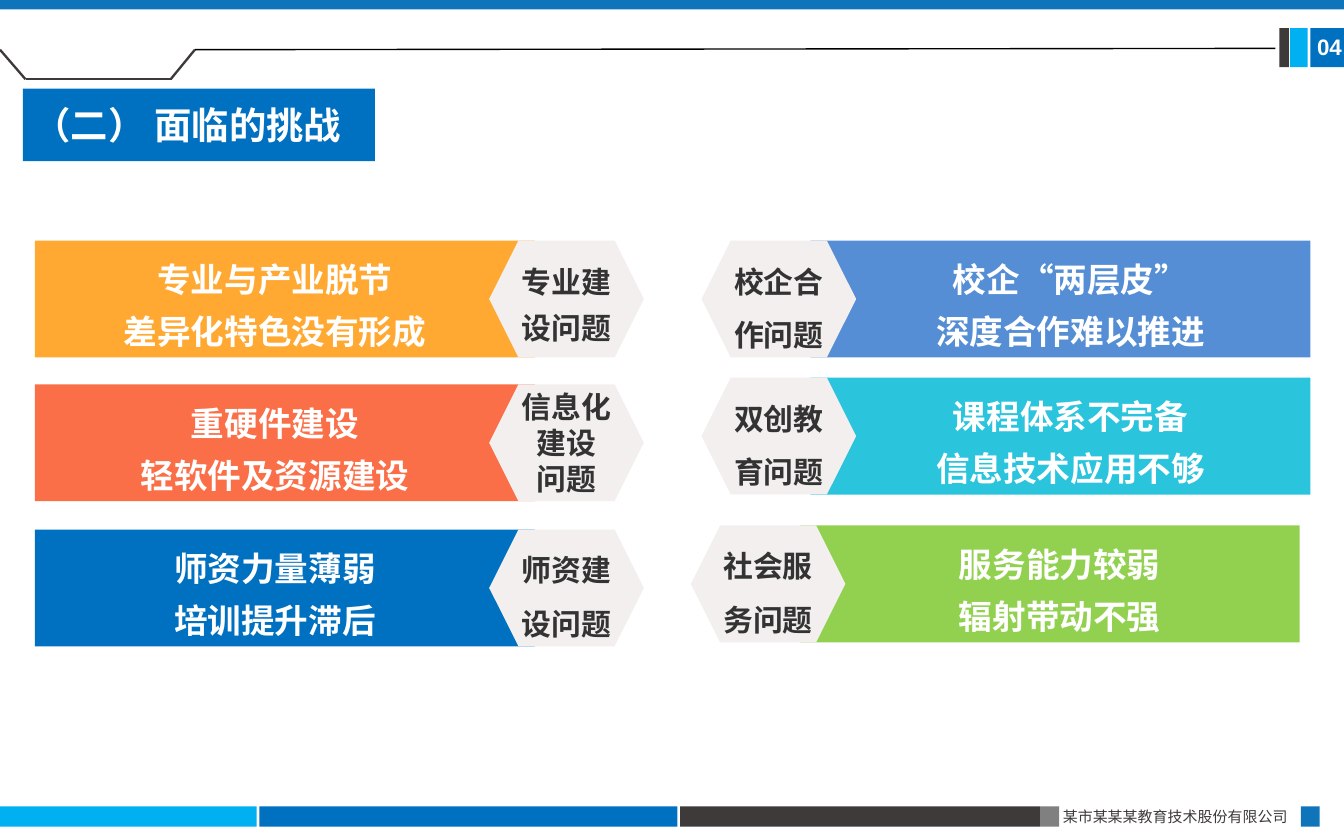
from lxml import etree
from pptx import Presentation
from pptx.dml.color import RGBColor
from pptx.enum.lang import MSO_LANGUAGE_ID as Language
from pptx.enum.shapes import MSO_CONNECTOR as Connector, MSO_SHAPE as Shape
from pptx.enum.text import MSO_ANCHOR as Anchor, MSO_AUTO_SIZE as AutoSize, PP_ALIGN as Align
from pptx.oxml.ns import qn
from pptx.util import Inches, Pt

WHITE = RGBColor(0xFF, 0xFF, 0xFF)
BLACK = RGBColor(0x00, 0x00, 0x00)
CHARCOAL = RGBColor(0x3E, 0x3A, 0x39)
DARK_GRAY = RGBColor(0x33, 0x33, 0x33)
GRAY = RGBColor(0x80, 0x80, 0x80)
PALE = RGBColor(0xF3, 0xEF, 0xEF)
SKY = RGBColor(0x00, 0xB0, 0xF0)
BLUE = RGBColor(0x00, 0x70, 0xC0)
STEEL = RGBColor(0x10, 0x74, 0xBB)
ORANGE = RGBColor(0xFF, 0xA9, 0x32)
CORAL = RGBColor(0xFA, 0x6F, 0x48)
PERIWINKLE = RGBColor(0x55, 0x8E, 0xD5)
TURQUOISE = RGBColor(0x2A, 0xC4, 0xDC)
GREEN = RGBColor(0x92, 0xD0, 0x50)

CJK_FONT = "Noto Sans CJK SC"
BANNER_WIDTH = 3.72
ROW_HEIGHT = 0.87
NOTCH = 0.34
HEXAGON_WIDTH = 1.15


def paint(shape, color):
    shape.fill.solid()
    shape.fill.fore_color.rgb = color
    shape.line.fill.background()


def add_block(page, left, top, width, height, color, kind=Shape.RECTANGLE):
    block = page.shapes.add_shape(kind, Inches(left), Inches(top), Inches(width), Inches(height))
    block.shadow.inherit = False
    paint(block, color)
    return block


def add_rule(page, start, end, color, weight):
    points = [Inches(value) for value in start + end]
    rule = page.shapes.add_connector(Connector.STRAIGHT, *points)
    rule.line.color.rgb = color
    rule.line.width = Pt(weight)
    etree.SubElement(rule._element.spPr, qn("a:effectLst"))


def write(shape, lines, size, color, align=Align.CENTER, spacing=1.0, bold=True,
          font="Calibri", margins=(0, 0, 0, 0), anchor=Anchor.MIDDLE):
    frame = shape.text_frame
    frame.word_wrap = True
    frame.auto_size = AutoSize.NONE
    frame.vertical_anchor = anchor
    (frame.margin_left, frame.margin_top,
     frame.margin_right, frame.margin_bottom) = [Inches(value) for value in margins]
    for index, line in enumerate(lines):
        para = frame.add_paragraph() if index else frame.paragraphs[0]
        para.alignment = align
        para.line_spacing = spacing
        span = para.add_run()
        span.text = line
        span.font.size = Pt(size)
        span.font.bold = bold
        span.font.name = font
        span.font.language_id = Language.SIMPLIFIED_CHINESE
        span.font.color.rgb = color
        east_asian = etree.Element(qn("a:ea"), typeface=CJK_FONT)
        span.font._element.find(qn("a:latin")).addnext(east_asian)


def add_label(page, left, top, width, height, text, size, color, **style):
    box = page.shapes.add_textbox(Inches(left), Inches(top), Inches(width), Inches(height))
    write(box, [text], size, color, anchor=Anchor.TOP, **style)


def add_banner(page, outer, top, direction, color, lines):
    inner = outer + direction * BANNER_WIDTH
    outline = [(inner, top), (inner - direction * NOTCH, top + ROW_HEIGHT / 2),
               (inner, top + ROW_HEIGHT), (outer, top + ROW_HEIGHT)]
    builder = page.shapes.build_freeform(Inches(outer), Inches(top))
    builder.add_line_segments([(Inches(x), Inches(y)) for x, y in outline], close=True)
    banner = builder.convert_to_shape()
    banner.shadow.inherit = False
    paint(banner, color)
    margins = (0.16, 0.05, 0.31, 0.05) if direction > 0 else (0.31, 0.05, 0.16, 0.05)
    write(banner, lines, 18, WHITE, spacing=1.3, margins=margins)


def add_challenge(page, outer, top, direction, color, lines, topic, spacing):
    add_banner(page, outer, top, direction, color, lines)
    tip = outer + direction * (BANNER_WIDTH - NOTCH)
    left = tip if direction > 0 else tip - HEXAGON_WIDTH
    hexagon = add_block(page, left, top, HEXAGON_WIDTH, ROW_HEIGHT, PALE, Shape.HEXAGON)
    write(hexagon, topic, 16, DARK_GRAY, spacing=spacing)


def add_title(page):
    title = page.shapes.title
    title.left, title.top = Inches(0.17), Inches(0.66)
    title.width, title.height = Inches(2.62), Inches(0.54)
    paint(title, BLUE)
    write(title, ["（二） 面临的挑战"], 20, WHITE, align=Align.LEFT,
          margins=(0.08, 0.04, 0.08, 0.04))


def add_header(page):
    add_block(page, 0, 0, 10, 0.07, STEEL)
    for left, width, color in [(9.75, 0.26, BLUE), (9.6, 0.13, SKY), (9.52, 0.07, CHARCOAL)]:
        add_block(page, left, 0.21, width, 0.29, color)
    corners = [(0, 0.37), (0.19, 0.59), (1.27, 0.59), (1.45, 0.37)]
    for start, end in zip(corners, corners[1:]):
        add_rule(page, start, end, CHARCOAL, 1.25)
    add_rule(page, corners[-1], (9.49, 0.36), BLACK, 0.75)
    add_label(page, 9.72, 0.21, 0.37, 0.28, "04", 12, WHITE, font="Arial",
              align=Align.LEFT, margins=(0.08, 0.04, 0.08, 0.04))


def add_footer(page):
    for left, width, color in [(0, 1.91, SKY), (1.93, 3.11, BLUE), (5.06, 2.68, CHARCOAL),
                               (7.74, 0.14, GRAY), (9.68, 0.14, STEEL)]:
        add_block(page, left, 6, width, 0.15, color)
    add_label(page, 7.81, 5.96, 1.94, 0.24, "某市某某某教育技术股份有限公司", 8, CHARCOAL,
              font=CJK_FONT, bold=False, align=Align.JUSTIFY, margins=(0.1, 0.05, 0.1, 0.05))


def main():
    deck = Presentation()
    deck.slide_width, deck.slide_height = Inches(10), Inches(6.25)
    page = deck.slides.add_slide(deck.slide_layouts[5])
    add_footer(page)
    add_header(page)
    add_title(page)
    challenges = [
        (0.26, 1.79, 1, ORANGE, ["专业与产业脱节", "差异化特色没有形成"], ["专业建设问题"], 1.3),
        (0.26, 2.86, 1, CORAL, ["重硬件建设", "轻软件及资源建设"], ["信息化建设", "问题"], 1.0),
        (0.26, 3.94, 1, BLUE, ["师资力量薄弱", "培训提升滞后"], ["师资建设问题"], 1.5),
        (9.75, 1.79, -1, PERIWINKLE, ["校企“两层皮”", "深度合作难以推进"], ["校企合作问题"], 1.5),
        (9.75, 2.81, -1, TURQUOISE, ["课程体系不完备", "信息技术应用不够"], ["双创教育问题"], 1.5),
        (9.67, 3.91, -1, GREEN, ["服务能力较弱", "辐射带动不强"], ["社会服务问题"], 1.5),
    ]
    for challenge in challenges:
        add_challenge(page, *challenge)
    deck.save("out.pptx")


if __name__ == "__main__":
    main()
